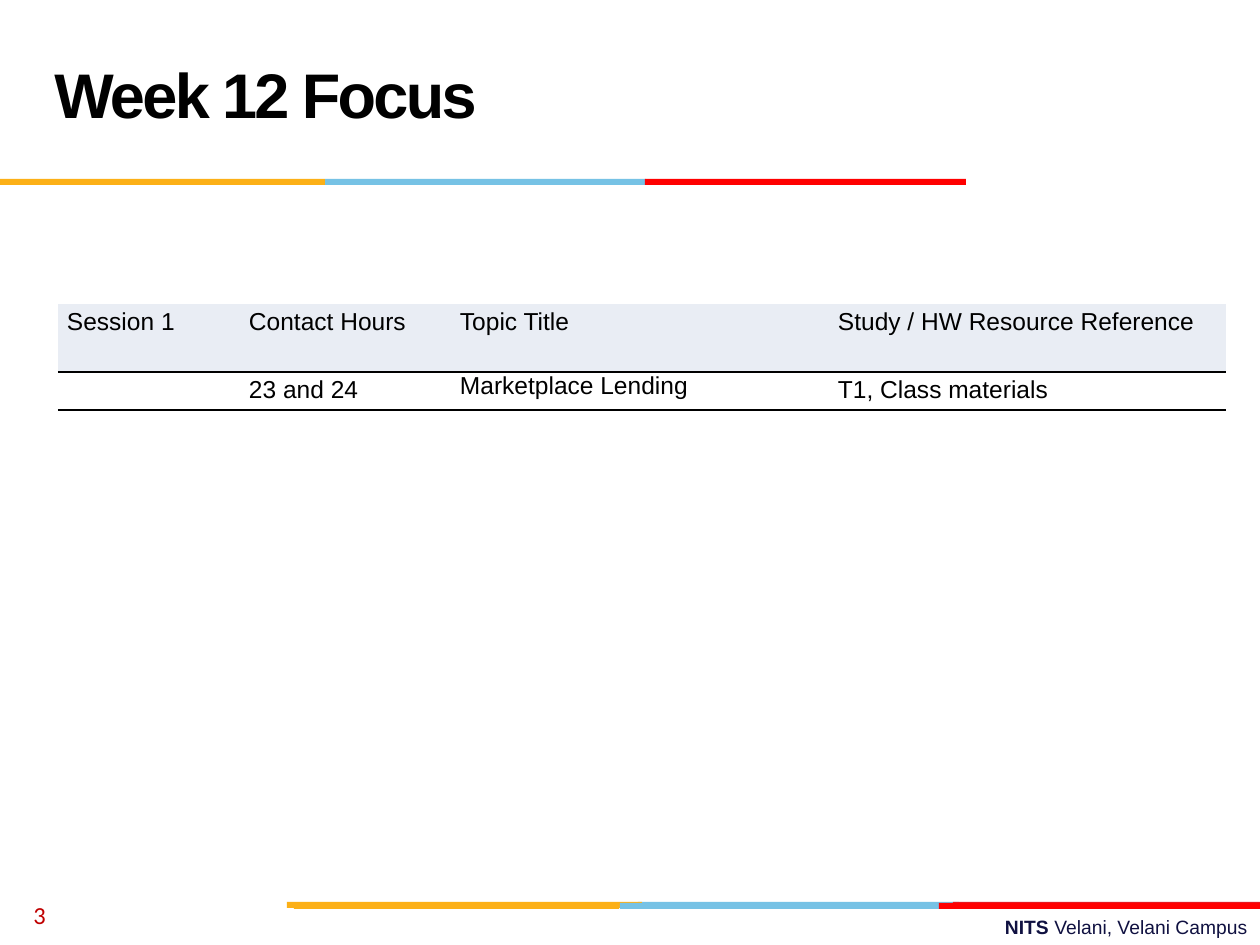
from lxml.etree import SubElement
from pptx import Presentation
from pptx.dml.color import RGBColor
from pptx.enum.shapes import MSO_SHAPE as Shape
from pptx.enum.text import MSO_ANCHOR as Anchor, PP_ALIGN as Align
from pptx.oxml import parse_xml
from pptx.oxml.ns import nsdecls, qn
from pptx.util import Emu, Pt

EMU_PER_PX = 914400 / 126
COLORS = {
    "black": "000000", "navy": "101141", "number": "C00000", "header": "E9EDF4",
    "gold": "FCB017", "blue": "76C2E5", "red": "FF0000", "dark_red": "E31C24",
}
PLAIN_TABLE_STYLE = "{2D5ABB26-0587-4C30-8999-92F81FD0307C}"
TABLE_ROWS = [
    ["Session 1", "Contact Hours", "Topic Title", "Study / HW Resource Reference"],
    ["", "23 and 24", "Marketplace Lending", "T1, Class materials"],
]


def px(length):
    """Turn pixels into EMU."""
    return Emu(round(length * EMU_PER_PX))


def color(name):
    """Look up a named colour."""
    return RGBColor.from_string(COLORS[name])


def add_run(paragraph, text, color_name="black", **formats):
    """Add a run and apply its font formats."""
    run = paragraph.add_run()
    run.text = text
    run.font.color.rgb = color(color_name)
    for name, value in ({"name": "Arial"} | formats).items():
        setattr(run.font, name, value)
    return run


def add_text_box(slide, box, **formats):
    """Add a wrapped text box and return its first paragraph."""
    frame = slide.shapes.add_textbox(*map(px, box)).text_frame
    for name, value in ({"word_wrap": True} | formats).items():
        setattr(frame, name, value)
    return frame.paragraphs[0]


def add_stripe(slide, left, top, segments):
    """Draw coloured bars given as offset, width and colour."""
    for offset, width, color_name in segments:
        box = map(px, (left + offset, top, width, 6))
        bar = slide.shapes.add_shape(Shape.RECTANGLE, *box)
        bar.shadow.inherit = False
        bar.fill.solid()
        bar.fill.fore_color.rgb = color(color_name)
        bar.line.fill.background()


def add_title(slide, left, top, width, height):
    """Place the heading and the stripe below it."""
    paragraph = add_text_box(slide, (left, top, width, height), vertical_anchor=Anchor.MIDDLE)
    paragraph.line_spacing = Pt(36)
    run = add_run(paragraph, "Week 12 Focus", size=Pt(36), bold=True)
    run.font._element.set("spc", "-150")
    add_stripe(slide, 0, top + height, [(325, 321, "blue"), (0, 325, "gold"), (645, 321, "red")])


def add_footer(slide, left, top, width, height):
    """Place the slide number, the layered stripes and the campus line."""
    number = add_text_box(slide, (left + 21, top, 294, 50), vertical_anchor=Anchor.MIDDLE)
    add_run(number, "3", "number", name="Calibri", size=Pt(14))
    back = [(351, 321, "blue"), (666, 307, "dark_red"), (0, 355, "gold")]
    front = [(333, 321, "blue"), (7, 325, "gold"), (652, 321, "red")]
    for offset, segments in ((12, back), (13, front)):
        add_stripe(slide, left + 287, top + offset, segments)
    campus = add_text_box(slide, (left + 451, top + 19, width - 451, height - 19))
    campus.alignment = Align.RIGHT
    add_run(campus, "NITS ", "navy", size=Pt(11), bold=True)
    add_run(campus, "Velani, Velani Campus", "navy", size=Pt(11), bold=False)


def add_border(cell, side):
    """Draw a thin black line on one side of a cell."""
    line = parse_xml(f'<a:{side} {nsdecls("a")} w="12700"/>')
    fill = SubElement(line, qn("a:solidFill"))
    SubElement(fill, qn("a:srgbClr"), val=COLORS["black"])
    cell._tc.get_or_add_tcPr().insert(0, line)


def fill_cell(cell, text, is_header, is_first, spacing):
    """Write and format one table cell."""
    side_margin = px(9 if is_first else 0)
    formats = {"margin_left": side_margin, "margin_right": side_margin,
               "margin_top": 0, "margin_bottom": 0}
    for name, value in formats.items():
        setattr(cell, name, value)
    paragraph = cell.text_frame.paragraphs[0]
    paragraph.line_spacing = spacing
    add_run(paragraph, text, size=Pt(14))
    if is_header:
        cell.fill.solid()
        cell.fill.fore_color.rgb = color("header")
    else:
        cell.fill.background()
    for side in ("lnB",) if is_header else ("lnB", "lnT"):
        add_border(cell, side)


def add_schedule(slide, left, top, width, height):
    """Place the session table."""
    frame = slide.shapes.add_table(2, 4, *map(px, (left, top, width, height)))
    table = frame.table
    table.first_row = table.horz_banding = False
    table._tbl.tblPr.find(qn("a:tableStyleId")).text = PLAIN_TABLE_STYLE
    for column, column_width in zip(table.columns, (191, 211, 378, width - 780)):
        column.width = px(column_width)
    for row, row_height in zip(table.rows, (height - 34, 34)):
        row.height = px(row_height)
    for i, texts in enumerate(TABLE_ROWS):
        for j, text in enumerate(texts):
            spacing = 1.0 if text == "Marketplace Lending" else 1.15
            fill_cell(table.cell(i, j), text, i == 0, j == 0, spacing)


def main():
    """Build and save the slide."""
    presentation = Presentation()
    presentation.slide_width, presentation.slide_height = px(1260), px(945)
    slide = presentation.slides.add_slide(presentation.slide_layouts[6])
    add_footer(slide, 0, 890, 1260, 55)
    add_title(slide, 42, 21, 872, 158)
    add_schedule(slide, 58, 304, 1168, 102)
    presentation.save("out.pptx")


if __name__ == "__main__":
    main()
